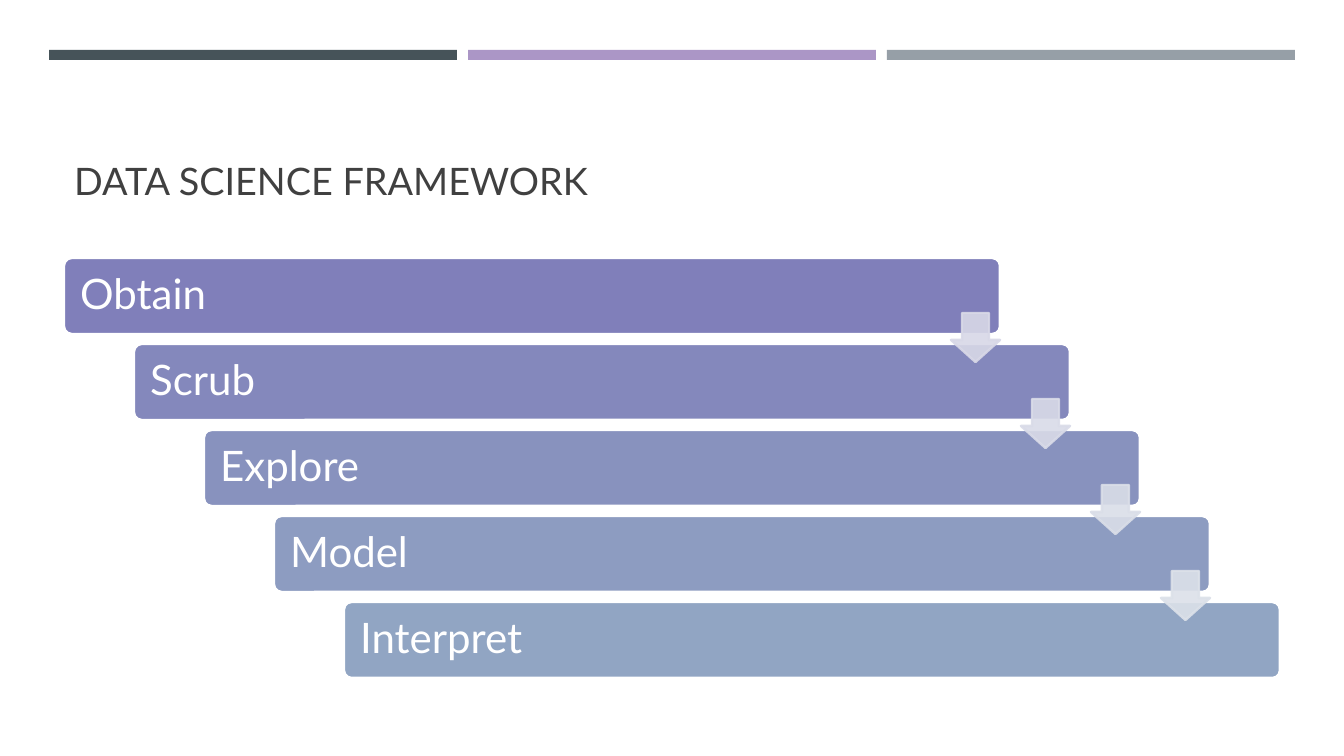
from lxml.etree import SubElement
from pptx import Presentation
from pptx.dml.color import RGBColor
from pptx.enum.shapes import MSO_SHAPE
from pptx.enum.text import MSO_ANCHOR, MSO_AUTO_SIZE, PP_ALIGN
from pptx.oxml.ns import qn
from pptx.util import Pt

TITLE = "DATA SCIENCE FRAMEWORK"
FONT = "Lato"
WHITE = "FFFFFF"
STRIPES = ["465359", "AB96C6", "969FA7"]
STEPS = [
    ("Obtain", "807FBA"),
    ("Scrub", "8488BC"),
    ("Explore", "8892BE"),
    ("Model", "8D9CC1"),
    ("Interpret", "91A5C3"),
]
ARROWS = ["D8D8E7", "D9DBE8", "DADEE8", "DCE1E9"]

# Lengths in px: left, top, width, height
SLIDE_SIZE = (1344, 756)
TITLE_BOX = (64, 78, 1216, 131)
FIRST_STRIPE = (49, 50, 408, 10)
STRIPE_PITCH = 419
FIRST_STEP = (64, 258, 936, 76)
FIRST_ARROW = (951, 313, 49, 49)
STEP_SHIFT = (70, 86)
STEP_INSET = 14
OUTLINE = 1.75
ARROW_OPACITY = 90


def px(length):
    return round(length * 914400 / 100.8)


def color(hex_code):
    return RGBColor.from_string(hex_code)


def shifted(box, index, dx, dy):
    left, top, width, height = box
    return left + index * dx, top + index * dy, width, height


def add_block(preset, box, fill, line=None, adjustments=()):
    block = slide.shapes.add_shape(preset, *map(px, box))
    block.shadow.inherit = False
    for index, value in enumerate(adjustments):
        block.adjustments[index] = value
    block.fill.solid()
    block.fill.fore_color.rgb = color(fill)
    if line:
        block.line.color.rgb = color(line)
        block.line.width = Pt(OUTLINE)
    else:
        block.line.fill.background()
    return block


def set_opacity(block, percent):
    """Make both the fill and the outline of a block translucent."""
    for solid in block._element.spPr.iter(qn("a:solidFill")):
        SubElement(solid[0], qn("a:alpha"), val=str(percent * 1000))


def write(frame, text, size, hex_code, anchor):
    frame.word_wrap = True
    frame.auto_size = MSO_AUTO_SIZE.NONE
    frame.vertical_anchor = anchor
    paragraph = frame.paragraphs[0]
    paragraph.alignment = PP_ALIGN.LEFT
    paragraph.line_spacing = 0.9
    run = paragraph.add_run()
    run.text = text
    run.font.name = FONT
    run.font.size = Pt(size)
    run.font.color.rgb = color(hex_code)


deck = Presentation()
deck.slide_width, deck.slide_height = map(px, SLIDE_SIZE)
slide = deck.slides.add_slide(deck.slide_layouts[5])

for index, fill in enumerate(STRIPES):
    add_block(MSO_SHAPE.RECTANGLE, shifted(FIRST_STRIPE, index, STRIPE_PITCH, 0), fill)

title = slide.shapes.title
title.left, title.top, title.width, title.height = map(px, TITLE_BOX)
write(title.text_frame, TITLE, 27, "404040", MSO_ANCHOR.BOTTOM)

for index, (name, fill) in enumerate(STEPS):
    step = add_block(MSO_SHAPE.ROUNDED_RECTANGLE, shifted(FIRST_STEP, index, *STEP_SHIFT),
                     fill, WHITE, [0.1])
    frame = step.text_frame
    frame.margin_left = frame.margin_right = px(STEP_INSET)
    frame.margin_top = frame.margin_bottom = px(STEP_INSET)
    write(frame, name, 30, WHITE, MSO_ANCHOR.MIDDLE)

for index, fill in enumerate(ARROWS):
    arrow = add_block(MSO_SHAPE.DOWN_ARROW, shifted(FIRST_ARROW, index, *STEP_SHIFT),
                      fill, fill, [0.55, 0.45])
    set_opacity(arrow, ARROW_OPACITY)

deck.save("out.pptx")
